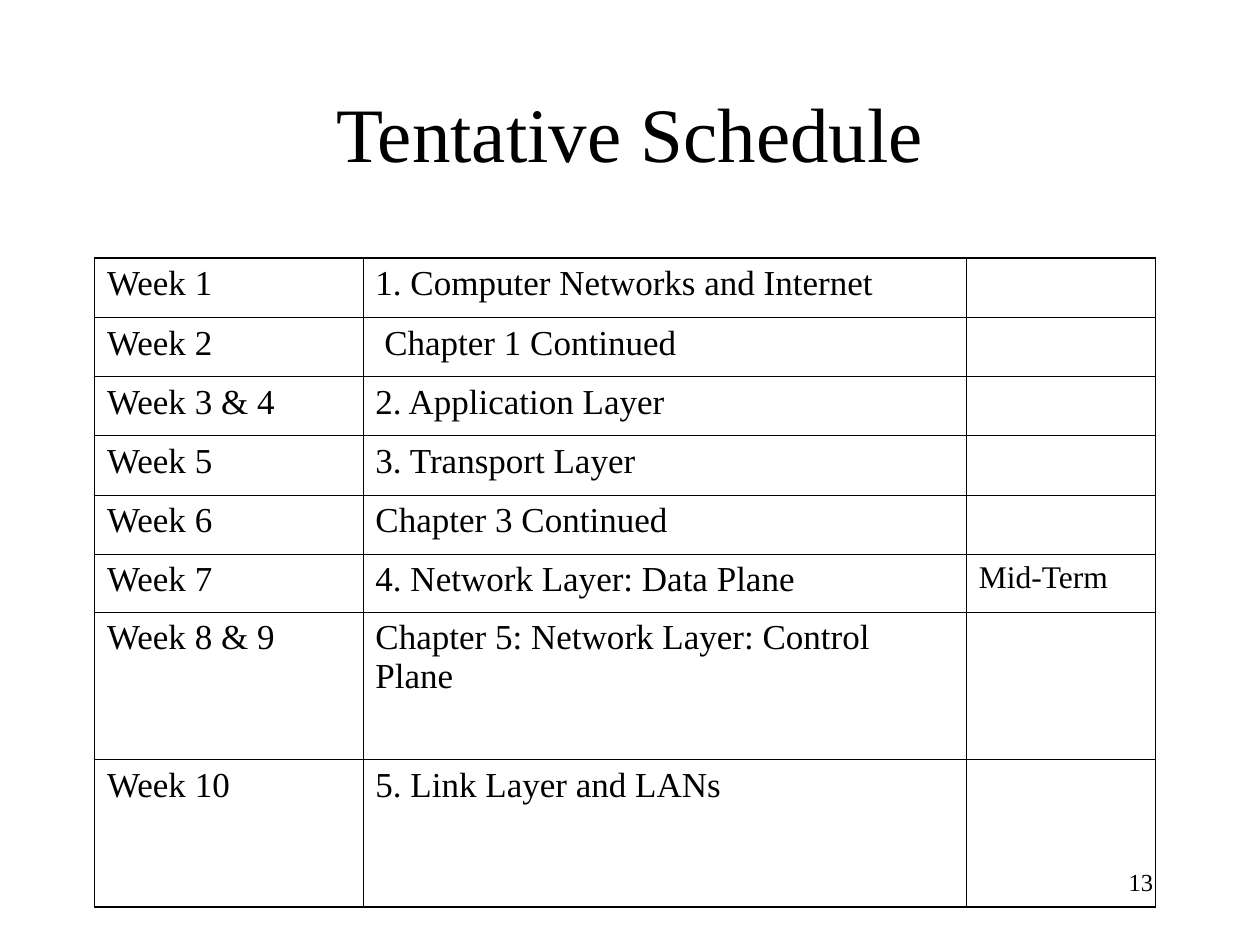
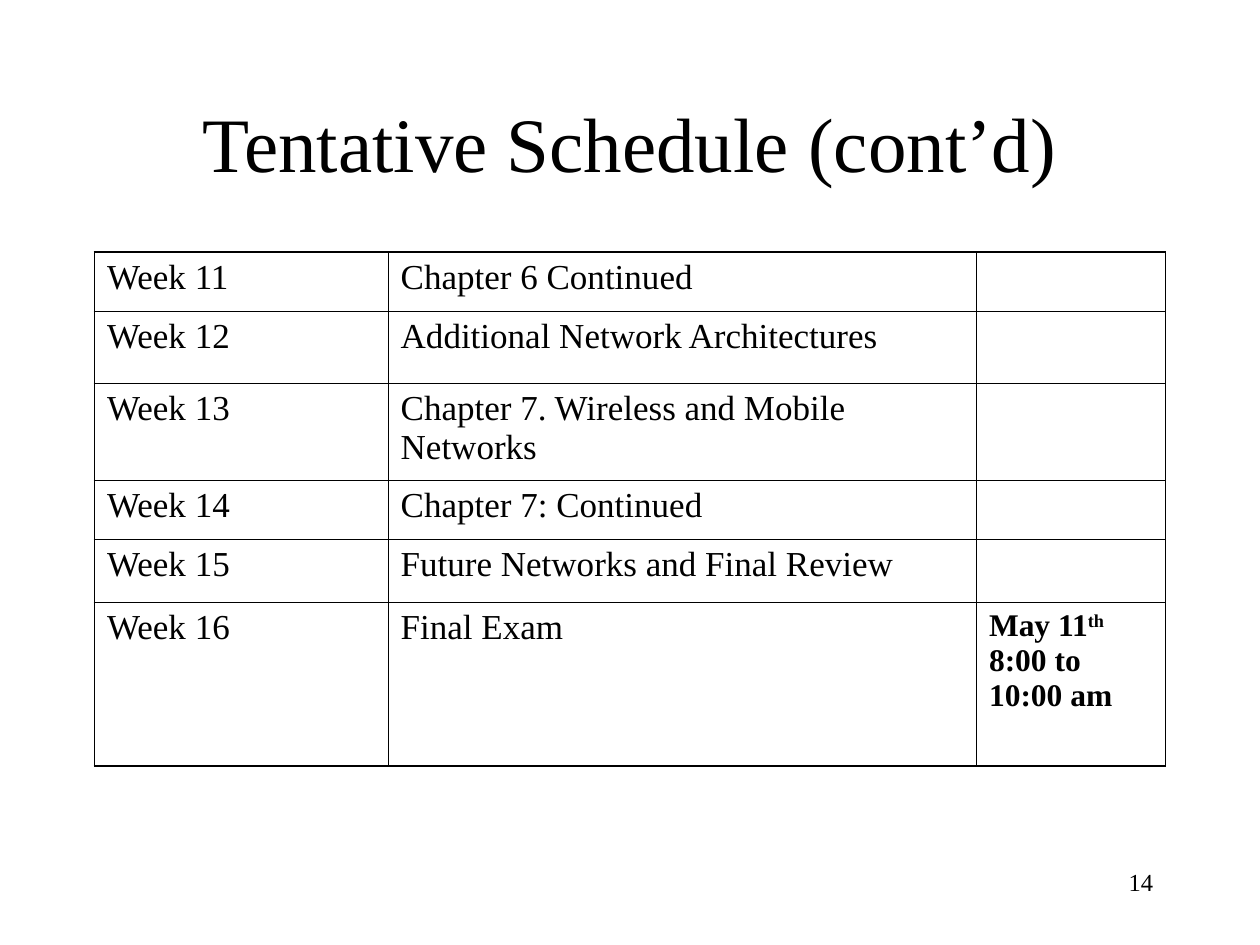
from lxml.etree import SubElement
from pptx import Presentation
from pptx.dml.color import RGBColor
from pptx.enum.text import MSO_ANCHOR, PP_ALIGN
from pptx.oxml.ns import qn
from pptx.util import Inches, Pt

BLACK = RGBColor(0x00, 0x00, 0x00)
FONT = "Times New Roman"
LEFT = 0.75
OUTER_LINE, INNER_LINE = Pt(1.08), Pt(0.45)
BODY_SIZE, NOTE_SIZE = 20, 18
CONTINUED_INDENT = 0.07

# Each row: height, week, topic, note (a note is a list of text and superscript flag)
FIRST_WEEKS = [
    (0.47, "Week 1", "1. Computer Networks and Internet", []),
    (0.47, "Week 2", "Chapter 1 Continued", []),
    (0.47, "Week 3 & 4", "2. Application Layer", []),
    (0.47, "Week 5", "3. Transport Layer", []),
    (0.47, "Week 6", "Chapter 3 Continued", []),
    (0.46, "Week 7", "4. Network Layer: Data Plane", [("Mid-Term", False)]),
    (1.17, "Week 8 & 9", "Chapter 5: Network Layer: Control Plane", []),
    (1.17, "Week 10", "5. Link Layer and LANs", []),
]
LAST_WEEKS = [
    (0.47, "Week 11", "Chapter 6 Continued", []),
    (0.57, "Week 12", "Additional Network Architectures", []),
    (0.77, "Week 13", "Chapter 7. Wireless and Mobile Networks", []),
    (0.47, "Week 14", "Chapter 7: Continued", []),
    (0.5, "Week 15", "Future Networks and Final Review", []),
    (1.3, "Week 16", "Final Exam",
     [("May 11", False), ("th", True), (" 8:00 to 10:00 am", False)]),
]


def style(paragraph, size, align=PP_ALIGN.LEFT, bold=False):
    paragraph.alignment = align
    font = paragraph.font
    font.name, font.size, font.bold = FONT, Pt(size), bold
    font.color.rgb = BLACK


def add_text(slide, text, box, size, align, anchor=MSO_ANCHOR.TOP):
    frame = slide.shapes.add_textbox(*map(Inches, box)).text_frame
    frame.word_wrap = True
    frame.vertical_anchor = anchor
    frame.text = text
    style(frame.paragraphs[0], size, align)


def set_borders(cell, widths):
    """Draw the cell's lines; widths maps L, R, T and B to line widths."""
    properties = cell._tc.get_or_add_tcPr()
    for side, width in widths.items():
        line = SubElement(properties, qn(f"a:ln{side}"), w=str(int(width)))
        fill = SubElement(line, qn("a:solidFill"))
        SubElement(fill, qn("a:srgbClr"), val=str(BLACK))


def fill_note(cell, note, bold):
    paragraph = cell.text_frame.paragraphs[0]
    for text, raised in note:
        run = paragraph.add_run()
        run.text = text
        if raised:
            run._r.get_or_add_rPr().set("baseline", "30000")
    style(paragraph, NOTE_SIZE, bold=bold)


def add_schedule(slide, top, widths, weeks, bold_notes=False):
    heights = [week[0] for week in weeks]
    schedule = slide.shapes.add_table(
        len(weeks), len(widths), Inches(LEFT), Inches(top),
        Inches(sum(widths)), Inches(sum(heights))).table
    schedule.first_row = schedule.horz_banding = False
    for column, width in zip(schedule.columns, widths):
        column.width = Inches(width)

    last_row, last_column = len(weeks) - 1, len(widths) - 1
    for r, (height, week, topic, note) in enumerate(weeks):
        schedule.rows[r].height = Inches(height)
        for c, text in enumerate((week, topic)):
            cell = schedule.cell(r, c)
            cell.text = text
            style(cell.text_frame.paragraphs[0], BODY_SIZE)
        fill_note(schedule.cell(r, last_column), note, bold_notes)

        # Heavier lines around the table, thin ones inside
        for c in range(len(widths)):
            at_edge = {"L": c == 0, "R": c == last_column,
                       "T": r == 0, "B": r == last_row}
            cell = schedule.cell(r, c)
            set_borders(cell, {side: OUTER_LINE if outer else INNER_LINE
                               for side, outer in at_edge.items()})
            cell.fill.background()
    return schedule


def add_schedule_slide(deck, title, title_top, number):
    slide = deck.slides.add_slide(deck.slide_layouts[6])
    add_text(slide, str(number), (7.17, 6.83, 2.08, 0.5), 14, PP_ALIGN.RIGHT)
    add_text(slide, title, (LEFT, title_top, 8.5, 1.25), 44,
             PP_ALIGN.CENTER, MSO_ANCHOR.MIDDLE)
    return slide


def main():
    deck = Presentation()
    deck.slide_width, deck.slide_height = Inches(10), Inches(7.5)

    # Weeks 1 to 10
    slide = add_schedule_slide(deck, "Tentative Schedule", 0.42, 13)
    schedule = add_schedule(slide, 2.05, (2.13, 4.79, 1.5), FIRST_WEEKS)
    schedule.cell(1, 1).margin_left = Inches(0.1 + CONTINUED_INDENT)

    # Weeks 11 to 16
    slide = add_schedule_slide(deck, "Tentative Schedule (cont’d)", 0.5, 14)
    add_schedule(slide, 2, (2.33, 4.67, 1.5), LAST_WEEKS, bold_notes=True)

    deck.save("out.pptx")


if __name__ == "__main__":
    main()
